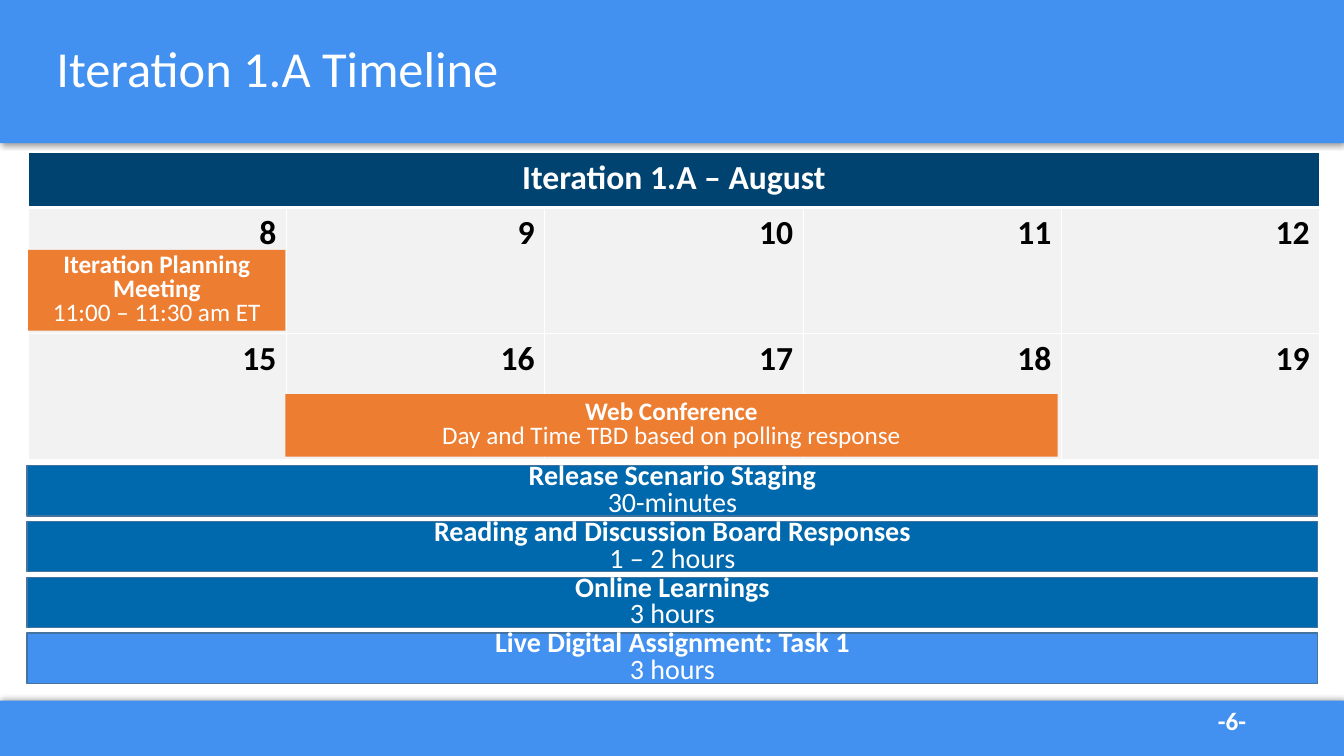
from lxml import etree
from pptx import Presentation
from pptx.dml.color import RGBColor
from pptx.enum.shapes import MSO_SHAPE as Shape
from pptx.enum.text import MSO_ANCHOR as Anchor, PP_ALIGN as Align
from pptx.oxml import parse_xml
from pptx.oxml.ns import nsdecls, qn
from pptx.util import Inches, Pt

SKY = RGBColor(0x42, 0x91, 0xF0)
OCEAN = RGBColor(0x00, 0x68, 0xAC)
NAVY = RGBColor(0x00, 0x43, 0x70)
EDGE = RGBColor(0x43, 0x73, 0x9E)
ORANGE = RGBColor(0xED, 0x7D, 0x31)
PALE = RGBColor(0xF2, 0xF2, 0xF2)
WHITE = RGBColor(0xFF, 0xFF, 0xFF)
BLACK = RGBColor(0x00, 0x00, 0x00)

SLIDE_WIDTH, SLIDE_HEIGHT = 13.33, 7.5
WEEKS = [range(8, 13), range(15, 20)]
BARS = [
    ("Release Scenario Staging", "30-minutes", OCEAN),
    ("Reading and Discussion Board Responses", "1 – 2 hours", OCEAN),
    ("Online Learnings", "3 hours", OCEAN),
    ("Live Digital Assignment: Task 1", "3 hours", SKY),
]
FIRST_BAR_TOP, LAST_BAR_TOP = 4.62, 6.28


class TimelineSlide:
    font_name = "Calibri"

    def __init__(self, deck):
        self.page = deck.slides.add_slide(deck.slide_layouts[5])

    def style(self, para, size, color=WHITE, bold=False, align=Align.LEFT, spacing=None):
        para.alignment = align
        if spacing:
            para.line_spacing = spacing
        for span in para.runs:
            span.font.name = self.font_name
            span.font.size = Pt(size)
            span.font.bold = bold
            span.font.color.rgb = color

    def rectangle(self, left, top, width, height, fill, line=None):
        box = self.page.shapes.add_shape(
            Shape.RECTANGLE, Inches(left), Inches(top), Inches(width), Inches(height))
        box.shadow.inherit = False
        box.fill.solid()
        box.fill.fore_color.rgb = fill
        if line is None:
            box.line.fill.background()
        else:
            box.line.color.rgb = line
            box.line.width = Pt(1)
        return box

    def band(self, top, height, shadow_angle):
        """Full-width strip that casts a soft shadow towards the content."""
        box = self.rectangle(0, top, SLIDE_WIDTH, height, SKY)
        effects = box._element.spPr.find(qn("a:effectLst"))
        effects.append(parse_xml(
            f'<a:outerShdw {nsdecls("a")} blurRad="{Pt(4)}" dist="{Pt(1)}" '
            f'dir="{shadow_angle * 60000}" algn="t" rotWithShape="0">'
            '<a:srgbClr val="000000"><a:alpha val="40000"/></a:srgbClr></a:outerShdw>'))

    def title(self, text):
        box = self.page.shapes.title
        box.left, box.top = Inches(0.46), Inches(-0.02)
        box.width, box.height = Inches(12.42), Inches(1.45)
        frame = box.text_frame
        frame.text = text
        frame.vertical_anchor = Anchor.MIDDLE
        self.style(frame.paragraphs[0], 36, spacing=0.9)
        box._element.getparent().append(box._element)  # in front of the bands

    def page_number(self, text):
        box = self.page.shapes.add_textbox(
            Inches(11.98), Inches(6.95), Inches(0.98), Inches(0.4))
        box.text_frame.word_wrap = True
        box.text_frame.text = text
        self.style(box.text_frame.paragraphs[0], 18, bold=True)

    def activity(self, left, top, width, height, name, timing, fill, size, line=None):
        frame = self.rectangle(left, top, width, height, fill, line).text_frame
        frame.word_wrap = True
        frame.vertical_anchor = Anchor.MIDDLE
        frame.text = f"{name}\n{timing}"
        for para, bold in zip(frame.paragraphs, (True, False)):
            self.style(para, size, bold=bold, align=Align.CENTER, spacing=0.8)

    def cell(self, cell, text, fill, color, align, borders):
        properties = cell._tc.get_or_add_tcPr()
        for side, width in borders.items():
            line = etree.SubElement(properties, qn(f"a:ln{side}"), w=str(Pt(width)))
            solid = etree.SubElement(line, qn("a:solidFill"))
            etree.SubElement(solid, qn("a:srgbClr"), val=str(WHITE))
        cell.fill.solid()
        cell.fill.fore_color.rgb = fill
        cell.text = text
        self.style(cell.text_frame.paragraphs[0], 24, color, True, align)

    def calendar(self, heading, weeks):
        days = len(weeks[0])
        table = self.page.shapes.add_table(
            len(weeks) + 1, days, Inches(0.28), Inches(1.51),
            Inches(12.81), Inches(3.05)).table
        table.horz_banding = False
        for row, height in zip(table.rows, (0.55, 1.25, 1.25)):
            row.height = Inches(height)
        table.cell(0, 0).merge(table.cell(0, days - 1))
        for column in range(days):
            self.cell(table.cell(0, column), "" if column else heading, NAVY, WHITE,
                      Align.CENTER, {"L": 1, "R": 1, "T": 1, "B": 3})
            for row, week in enumerate(weeks, 1):
                top_border = 3 if row == 1 else 1
                self.cell(table.cell(row, column), str(week[column]), PALE, BLACK,
                          Align.RIGHT, {"L": 1, "R": 1, "T": top_border, "B": 1})


def main():
    deck = Presentation()
    deck.slide_width, deck.slide_height = Inches(SLIDE_WIDTH), Inches(SLIDE_HEIGHT)
    slide = TimelineSlide(deck)

    slide.band(6.95, 0.55, 270)
    slide.band(0, 1.42, 90)
    slide.page_number("-6-")
    slide.title("Iteration 1.A Timeline")

    step = (LAST_BAR_TOP - FIRST_BAR_TOP) / (len(BARS) - 1)
    for index, (name, timing, fill) in enumerate(BARS):
        slide.activity(0.27, FIRST_BAR_TOP + index * step, 12.8, 0.5,
                       name, timing, fill, 20, EDGE)

    slide.calendar("Iteration 1.A – August", WEEKS)
    slide.activity(0.28, 2.48, 2.55, 0.8,
                   "Iteration Planning Meeting", "11:00 – 11:30 am ET", ORANGE, 18)
    slide.activity(2.83, 3.91, 7.66, 0.62, "Web Conference",
                   "Day and Time TBD based on polling response", ORANGE, 18)
    deck.save("out.pptx")


if __name__ == "__main__":
    main()
